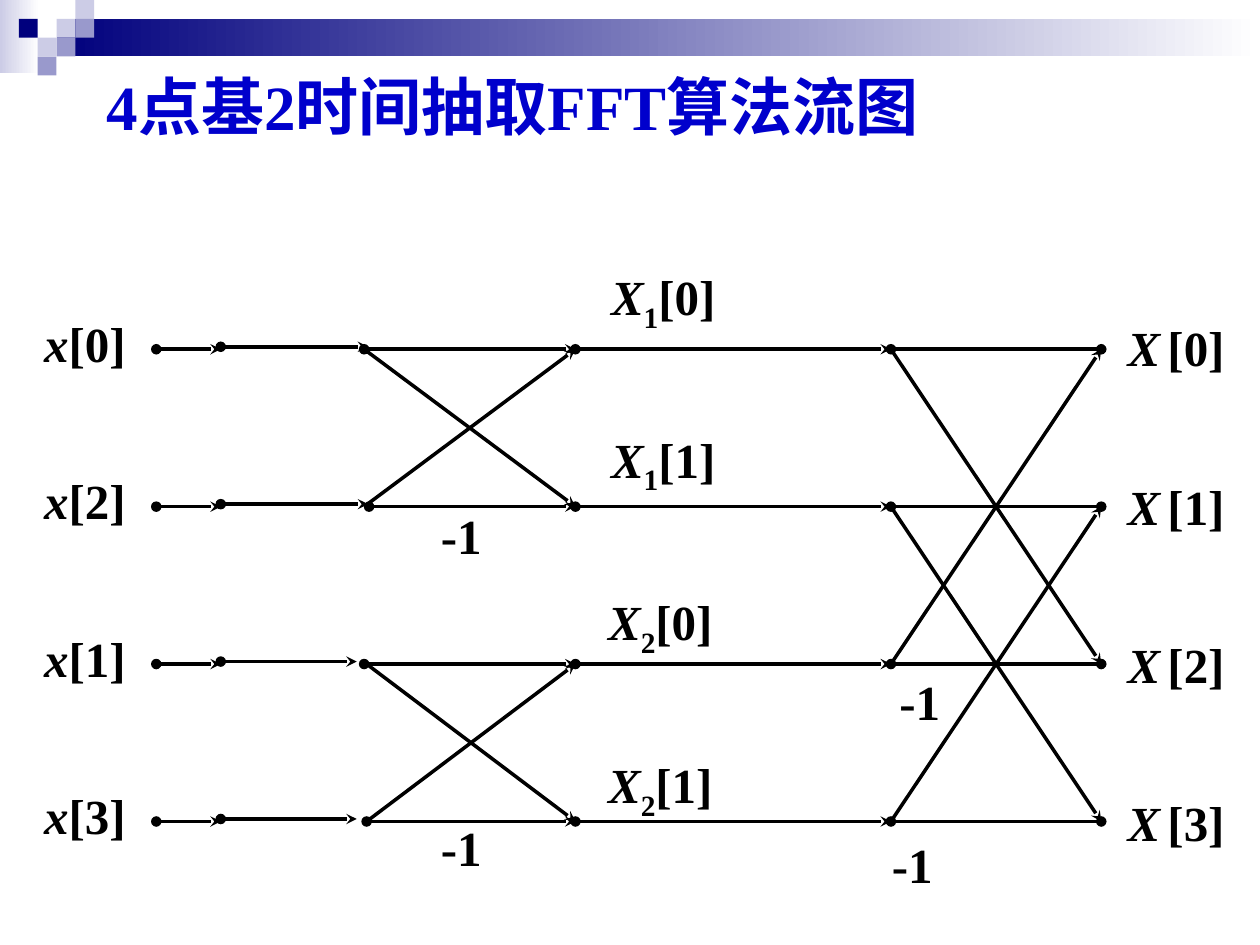
from dataclasses import dataclass

from lxml.etree import SubElement
from pptx import Presentation
from pptx.dml.color import RGBColor as Rgb
from pptx.enum.shapes import MSO_CONNECTOR as Connector, MSO_SHAPE as Shape
from pptx.enum.text import MSO_ANCHOR as Anchor
from pptx.oxml.ns import qn
from pptx.util import Cm, Pt


@dataclass(frozen=True)
class Theme:
    font: str = "Times New Roman"
    title_size: float = 36
    label_size: float = 28
    subscript_size: float = 29
    line_width: float = 2
    title: str = "0000CC"
    ink: str = "000000"
    navy: str = "00007D"
    violet: str = "9999CC"
    lilac: str = "CCCCE6"
    paper: str = "FFFFFF"


@dataclass(frozen=True)
class Box:
    left: float
    top: float
    width: float
    height: float

    def inside(self, dx, dy, width, height):
        return Box(self.left + dx, self.top + dy, width, height)

    def lengths(self):
        return [Cm(v) for v in (self.left, self.top, self.width, self.height)]


THEME = Theme()


def add_block(slide, box, *colors):
    """Rectangle in one colour, or fading from the first to the second."""
    block = slide.shapes.add_shape(Shape.RECTANGLE, *box.lengths())
    block.shadow.inherit = False
    block.line.fill.background()
    if len(colors) == 1:
        block.fill.solid()
        block.fill.fore_color.rgb = Rgb.from_string(colors[0])
        return
    block.fill.gradient()
    block.fill.gradient_angle = 0
    for position, (stop, color) in enumerate(zip(block.fill.gradient_stops, colors)):
        stop.position = position
        stop.color.rgb = Rgb.from_string(color)


def add_text(slide, box, runs, color, anchor=Anchor.TOP):
    """Text box; each run is (text, size, italic, baseline)."""
    frame = slide.shapes.add_textbox(*box.lengths()).text_frame
    layout = {"word_wrap": True, "vertical_anchor": anchor, "margin_right": 0}
    for name, value in layout.items():
        setattr(frame, name, value)
    for text, size, italic, baseline in runs:
        run = frame.paragraphs[0].add_run()
        run.text = text
        style = {"name": THEME.font, "size": Pt(size), "bold": True, "italic": italic}
        for name, value in style.items():
            setattr(run.font, name, value)
        run.font.color.rgb = Rgb.from_string(color)
        if baseline:
            run.font._element.set("baseline", str(baseline))


def add_branch(slide, box, start, end, head="none", tail="stealth"):
    """Signal branch between two points measured from the box corner."""
    points = [Cm(v) for x, y in (start, end) for v in (box.left + x, box.top + y)]
    branch = slide.shapes.add_connector(Connector.STRAIGHT, *points)
    branch.line.width = Pt(THEME.line_width)
    branch.line.color.rgb = Rgb.from_string(THEME.ink)
    line = branch.line._get_or_add_ln()
    for tag, kind in (("a:headEnd", head), ("a:tailEnd", tail)):
        SubElement(line, qn(tag), type=kind)
    SubElement(branch._element.spPr, qn("a:effectLst"))


def draw_header(slide, box):
    cell = 0.38
    add_block(slide, box.inside(0, 0, 0.79, 1.47), THEME.lilac, THEME.paper)
    add_block(slide, box.inside(3 * cell, cell, box.width - 3 * cell, 0.76),
              THEME.navy, THEME.paper)
    # Mosaic squares as (column, row, colour)
    mosaic = [(3, 1, THEME.lilac), (4, 0, THEME.lilac), (4, 1, THEME.violet),
              (2, 2, THEME.lilac), (1, 1, THEME.navy), (3, 2, THEME.violet),
              (2, 3, THEME.violet)]
    for column, row, color in mosaic:
        add_block(slide, box.inside(column * cell, row * cell, cell, cell), color)


def draw_title(slide, box):
    add_text(slide, box, [("4点基2时间抽取FFT算法流图", THEME.title_size, False, 0)],
             THEME.title, Anchor.MIDDLE)


def draw_branches(slide, box):
    rows = [i * box.height / 3 for i in range(4)]
    source, delay, stage_one, stage_two, sink = 2.51, 3.81, 10.96, 17.32, 21.56
    splits = [6.7, 6.8, 6.7, 6.75]
    delay_ends = [6.78, 6.78, 6.55, 6.55]

    # Straight branches along each row
    for y, split, delay_end in zip(rows, splits, delay_ends):
        add_branch(slide, box, (source, y), (delay, y), "oval")
        add_branch(slide, box, (delay, y - 0.05), (delay_end, y - 0.05), "oval")
        add_branch(slide, box, (split, y), (stage_one, y), "oval")
        add_branch(slide, box, (stage_one, y), (stage_two, y), "oval")
        add_branch(slide, box, (stage_two, y), (sink, y), "oval", "oval")

    # Butterflies: neighbouring rows first, then rows two apart
    butterflies = [(splits[0], stage_one, 0, 1), (splits[3], stage_one, 2, 3),
                   (stage_two, sink, 0, 2), (stage_two, sink, 1, 3)]
    for left, right, upper, lower in butterflies:
        add_branch(slide, box, (left, rows[upper]), (right, rows[lower]))
        add_branch(slide, box, (left, rows[lower]), (right, rows[upper]))


def draw_labels(slide, box):
    def label(dx, dy, width, *runs):
        add_text(slide, box.inside(dx, dy, width, 1.45), runs, THEME.ink)

    def indexed(letter, subscript, index):
        parts = [(letter, THEME.label_size, True, 0),
                 (subscript, THEME.subscript_size, False, -25000),
                 (f"[{index}]", THEME.label_size, False, 0)]
        return [part for part in parts if part[0]]

    # Inputs in bit-reversed order, half-length transforms, outputs
    for row, index in enumerate((0, 2, 1, 3)):
        half, point = divmod(row, 2)
        label(0, -0.84 + 3.17 * row, 2.29, *indexed("x", "", index))
        label(11.43 - 0.06 * half, -1.83 + 3.28 * row, 2.84,
              *indexed("X", str(half + 1), point))
        label(21.84, -0.79 + 3.19 * row, 2.49, *indexed("X", " ", row))

    # Branch gains
    for dx, dy in ((8, 3.02), (8, 9.32), (17.24, 6.37), (17.09, 9.65)):
        label(dx, dy, 1.85, ("-1", THEME.label_size, False, 0))


def main():
    deck = Presentation()
    deck.slide_width, deck.slide_height = Cm(25.4), Cm(19.05)
    slide = deck.slides.add_slide(deck.slide_layouts[6])
    flow_graph = Box(0.64, 7.04, 24.33, 9.52)
    draw_header(slide, Box(0, 0, 25.4, 1.52))
    draw_title(slide, Box(1.9, 0.53, 21.59, 3.18))
    draw_branches(slide, flow_graph)
    draw_labels(slide, flow_graph)
    deck.save("out.pptx")


if __name__ == "__main__":
    main()
